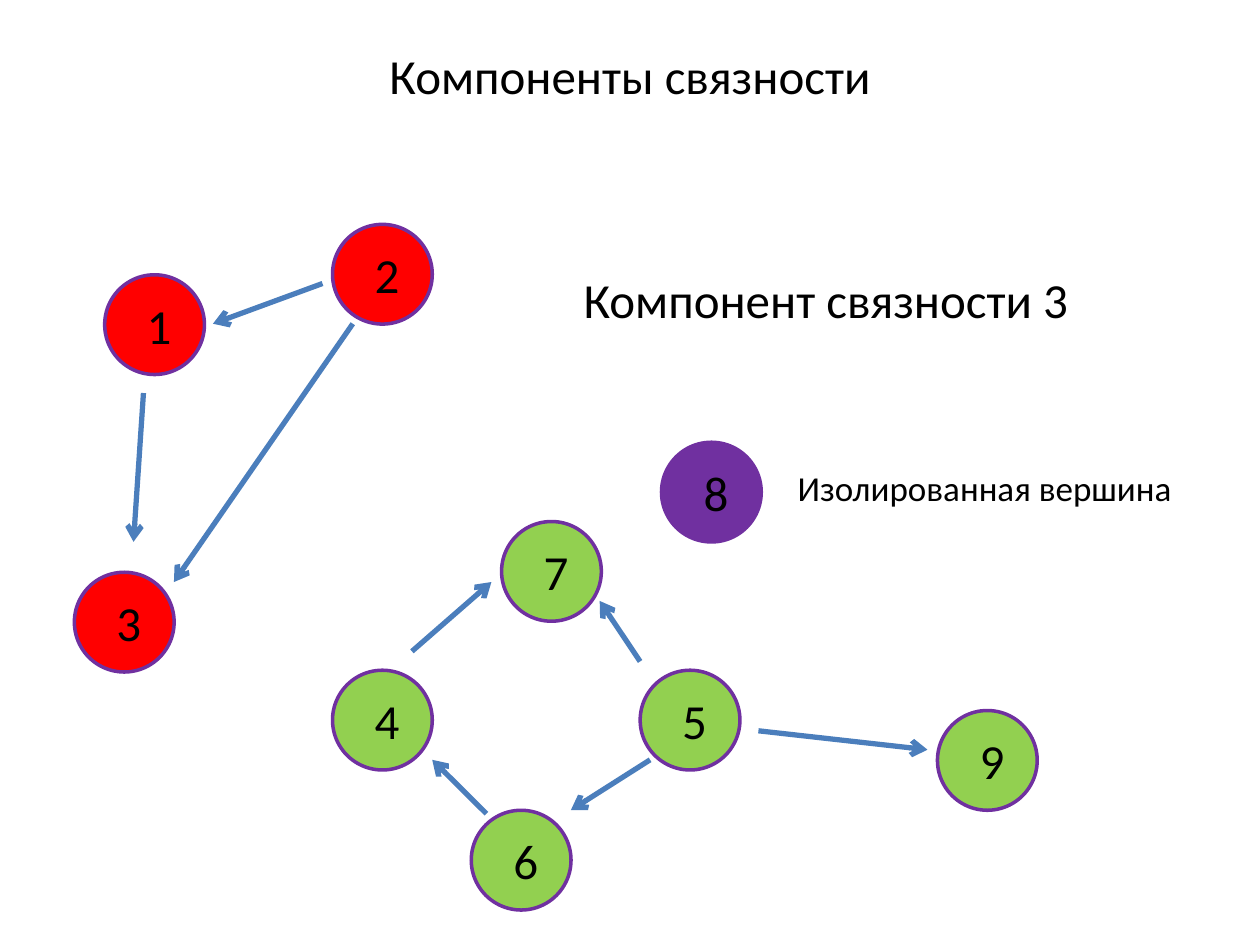
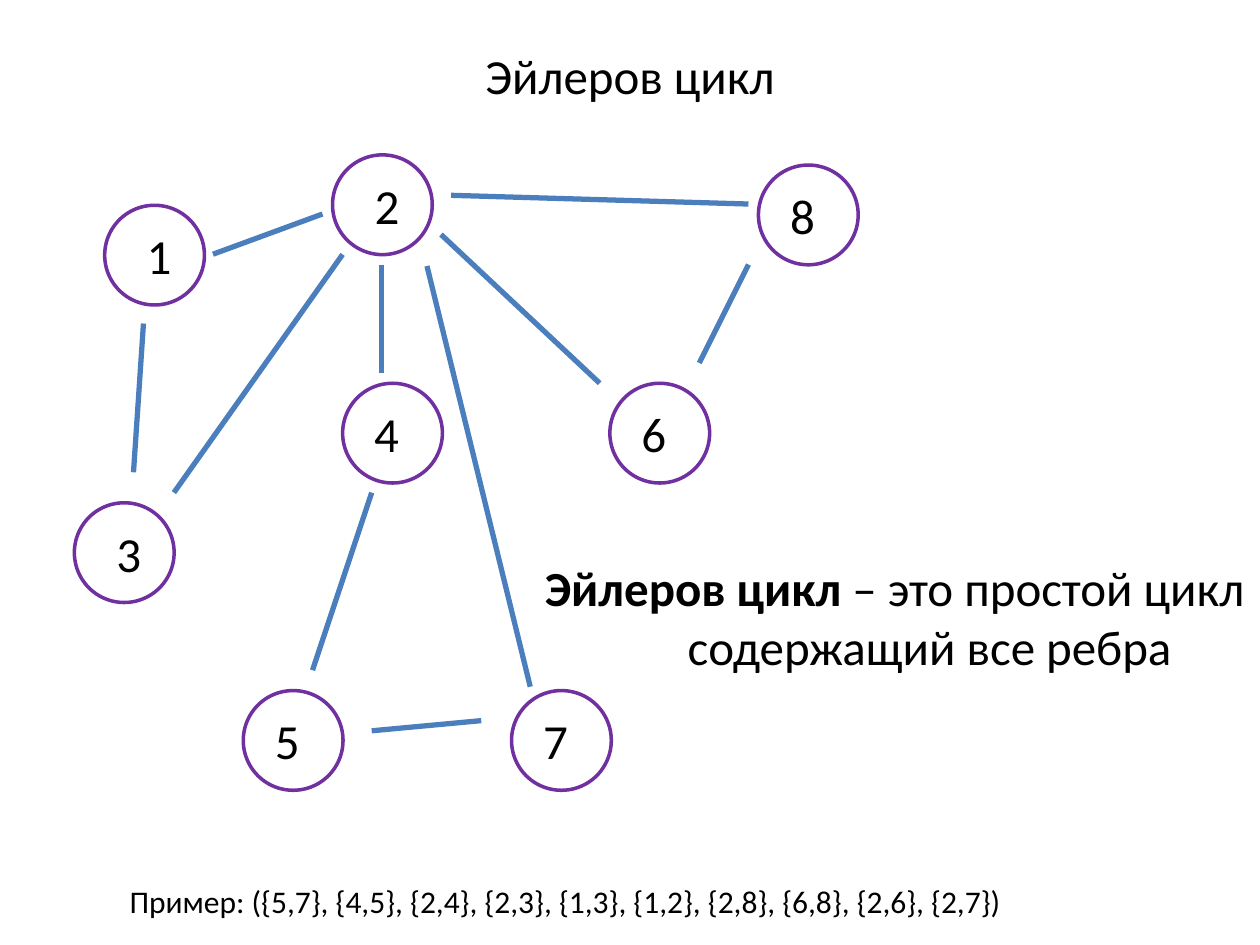
"""Build two slides on graph theory: connected components and the Euler cycle."""
import dataclasses
import typing

import lxml.etree
import pptx
import pptx.dml.color
import pptx.enum.shapes
import pptx.enum.text
import pptx.oxml.ns
import pptx.slide
import pptx.text.text
import pptx.util

Pt = pptx.util.Pt
RGBColor = pptx.dml.color.RGBColor
Align = pptx.enum.text.PP_ALIGN
qn = pptx.oxml.ns.qn


@dataclasses.dataclass(frozen=True)
class Theme:
    """Colours, type sizes and measures shared by the slides."""
    font: str = "Calibri"
    ink: RGBColor = RGBColor(0x00, 0x00, 0x00)
    outline: RGBColor = RGBColor(0x70, 0x30, 0xA0)
    edge: RGBColor = RGBColor(0x4B, 0x7E, 0xBC)
    red: RGBColor = RGBColor(0xFF, 0x00, 0x00)
    green: RGBColor = RGBColor(0x92, 0xD0, 0x50)
    white: RGBColor = RGBColor(0xFF, 0xFF, 0xFF)
    heading_size: float = 28
    label_size: float = 20
    example_size: float = 18
    outline_width: float = 2
    edge_width: float = 3
    diameter: float = 57
    hanging: float = 40


THEME = Theme()


class Box(typing.NamedTuple):
    """A place on the slide, in points."""
    left: float
    top: float
    width: float
    height: float


class Vertex(typing.NamedTuple):
    """A numbered circle; label_shift is the inset of its number box."""
    number: int
    left: float
    top: float
    fill: RGBColor
    label_shift: float = 17


class Edge(typing.NamedTuple):
    """A straight line between two points."""
    x1: float
    y1: float
    x2: float
    y2: float


class Caption(typing.NamedTuple):
    """A text with an optional bold opening."""
    box: Box
    text: str
    size: float = THEME.heading_size
    bold_opening: str = ""
    hanging: bool = False
    align: Align = Align.CENTER
    wrap: bool = True
    anchor: pptx.enum.text.MSO_ANCHOR = pptx.enum.text.MSO_ANCHOR.MIDDLE


class GraphSlide(typing.NamedTuple):
    """Everything that one slide shows."""
    title: str
    vertices: list[Vertex]
    edges: list[Edge]
    captions: list[Caption]
    directed: bool


def triangle_vertices(fill: RGBColor, rise: float = 0) -> list[Vertex]:
    """Return vertices 1 to 3, which both graphs share."""
    places = ((59.8, 157), (190, 128.2), (42.5, 327))
    return [Vertex(number, left, top - rise, fill)
            for number, (left, top) in enumerate(places, start=1)]


def triangle_edges(rise: float = 0) -> list[Edge]:
    """Return the edges 2-1 and 1-3, which both graphs share."""
    return [Edge(184.3, 162 - rise, 121.7, 185 - rise),
            Edge(82, 224.6 - rise, 76.3, 309.6 - rise)]


def hang(paragraph: pptx.text.text._Paragraph) -> None:
    """Indent every line of the paragraph but the first."""
    properties = paragraph._p.get_or_add_pPr()
    properties.set("marL", str(Pt(THEME.hanging)))
    properties.set("indent", str(-Pt(THEME.hanging)))


def draw_caption(slide: pptx.slide.Slide, caption: Caption) -> None:
    """Draw a text box."""
    frame = slide.shapes.add_textbox(*map(Pt, caption.box)).text_frame
    frame.word_wrap = caption.wrap
    frame.vertical_anchor = caption.anchor
    paragraph = frame.paragraphs[0]
    if caption.hanging:
        hang(paragraph)
    paragraph.alignment = caption.align
    paragraph.font.name = THEME.font
    paragraph.font.size = Pt(caption.size)
    paragraph.font.color.rgb = THEME.ink
    if caption.bold_opening:
        opening = paragraph.add_run()
        opening.text = caption.bold_opening
        opening.font.bold = True
    paragraph.add_run().text = caption.text


def draw_vertex(slide: pptx.slide.Slide, vertex: Vertex) -> None:
    """Draw a circle and its number."""
    circle = slide.shapes.add_shape(
        pptx.enum.shapes.MSO_SHAPE.OVAL, Pt(vertex.left), Pt(vertex.top),
        Pt(THEME.diameter), Pt(THEME.diameter))
    circle.shadow.inherit = False
    circle.fill.solid()
    circle.fill.fore_color.rgb = vertex.fill
    circle.line.color.rgb = THEME.outline
    circle.line.width = Pt(THEME.outline_width)
    number_box = Box(vertex.left + vertex.label_shift, vertex.top + 5.7, 28, 45.4)
    draw_caption(slide, Caption(number_box, str(vertex.number), wrap=False))


def draw_edge(slide: pptx.slide.Slide, edge: Edge, directed: bool) -> None:
    """Draw a line, with an arrowhead at its end in a directed graph."""
    line = slide.shapes.add_connector(
        pptx.enum.shapes.MSO_CONNECTOR.STRAIGHT, *map(Pt, edge))
    line.line.color.rgb = THEME.edge
    line.line.width = Pt(THEME.edge_width)
    properties = line._element.spPr
    if directed:
        lxml.etree.SubElement(properties.find(qn("a:ln")), qn("a:tailEnd"), type="arrow")
    lxml.etree.SubElement(properties, qn("a:effectLst"))


def draw_slide(deck: pptx.presentation.Presentation, content: GraphSlide) -> None:
    """Add a slide with its title, graph and captions."""
    slide = deck.slides.add_slide(deck.slide_layouts[6])
    draw_caption(slide, Caption(Box(0, 0, 720, 85), content.title))
    for vertex in content.vertices:
        draw_vertex(slide, vertex)
    for edge in content.edges:
        draw_edge(slide, edge, content.directed)
    for caption in content.captions:
        draw_caption(slide, caption)


COMPONENTS = GraphSlide(
    title="Компоненты связности",
    vertices=triangle_vertices(THEME.red) + [
        Vertex(4, 190, 383, THEME.green),
        Vertex(5, 365.8, 383, THEME.green),
        Vertex(6, 269.3, 463, THEME.green),
        Vertex(7, 286.6, 298, THEME.green),
        Vertex(8, 378, 252.7, THEME.outline),
        Vertex(9, 535.7, 406, THEME.green),
    ],
    edges=triangle_edges() + [
        Edge(201.6, 185, 99.4, 332.6),
        Edge(235.4, 372.2, 280.8, 332.6),
        Edge(371.5, 434.2, 326.2, 463),
        Edge(278, 465, 247, 434.2),
        Edge(365.8, 378, 342.7, 343.4),
        Edge(433.4, 417.6, 530, 428.4),
    ],
    captions=[
        Caption(Box(314.6, 116.6, 314.6, 108), "Компонент связности 3"),
        Caption(Box(405.4, 224.6, 314.6, 108), "Изолированная вершина", THEME.label_size),
    ],
    directed=True,
)

EULER_RISE = 39.7
EULER_CYCLE = GraphSlide(
    title="Эйлеров цикл",
    vertices=triangle_vertices(THEME.white, EULER_RISE) + [
        Vertex(number, left, top, THEME.white, label_shift=11)
        for number, left, top in (
            (4, 195.8, 219), (5, 139, 394.6), (6, 348.5, 219),
            (7, 292.3, 394.6), (8, 433.4, 94.3))
    ],
    edges=triangle_edges(EULER_RISE) + [
        Edge(99.4, 281.5, 195.8, 145.4),
        Edge(218.2, 151.2, 218.2, 213),
        Edge(212.4, 281.5, 178.6, 383),
        Edge(252, 134, 342.7, 219),
        Edge(275, 411.8, 212.4, 417.6),
        Edge(257.8, 111.6, 427.7, 116.6),
        Edge(399.6, 207.4, 427.7, 151.2),
        Edge(244, 152, 303, 392.4),
    ],
    captions=[
        Caption(Box(302.4, 309.6, 417.6, 85), " – это простой цикл содержащий все ребра",
                bold_opening="Эйлеров цикл", hanging=True),
        Caption(Box(67, 500.4, 653, 28.8),
                "Пример: ({5,7}, {4,5}, {2,4}, {2,3}, {1,3}, {1,2}, {2,8}, {6,8}, {2,6}, {2,7})",
                THEME.example_size, hanging=True, align=Align.LEFT,
                anchor=pptx.enum.text.MSO_ANCHOR.TOP),
    ],
    directed=False,
)


def main() -> None:
    """Build the deck and save it."""
    deck = pptx.Presentation()
    deck.slide_width, deck.slide_height = Pt(720), Pt(540)
    for content in (COMPONENTS, EULER_CYCLE):
        draw_slide(deck, content)
    deck.save("out.pptx")


if __name__ == "__main__":
    main()
